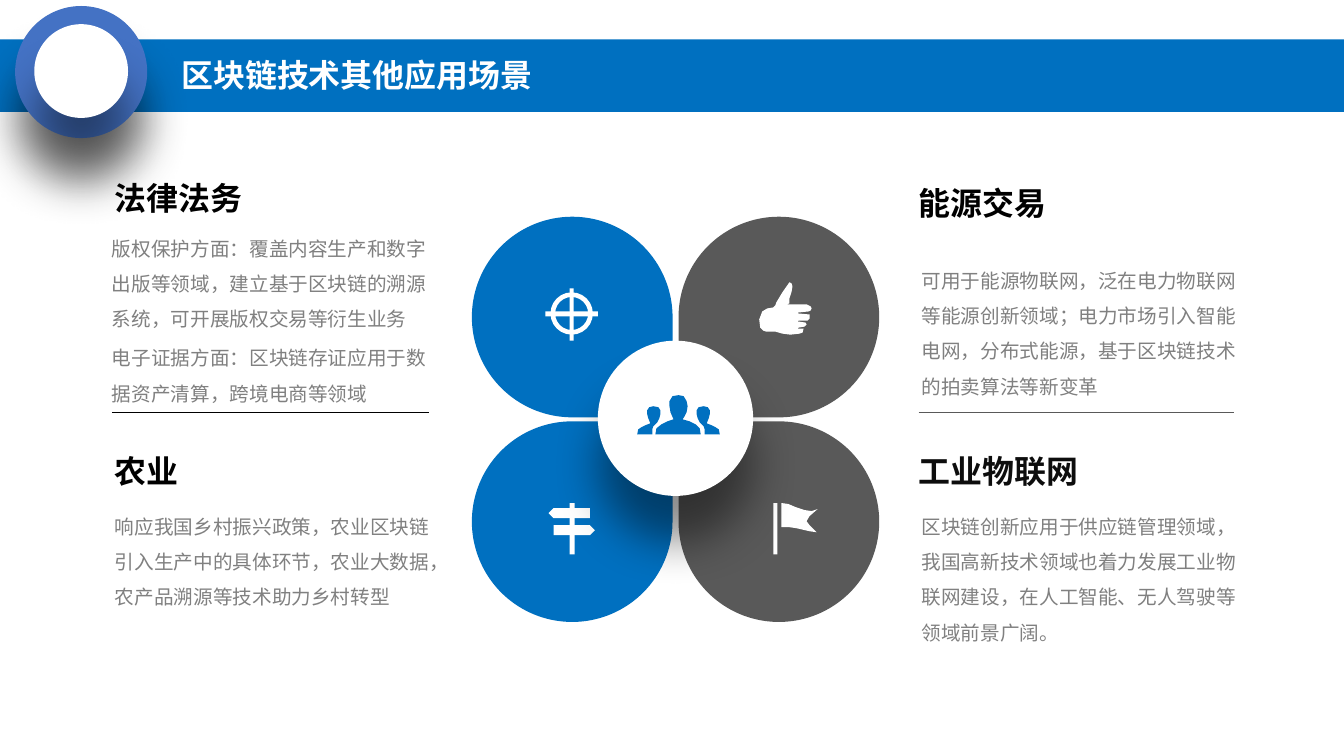
from typing import NamedTuple

from lxml.etree import SubElement
from pptx import Presentation
from pptx.dml.color import RGBColor
from pptx.enum.shapes import MSO_CONNECTOR, MSO_SHAPE as Preset
from pptx.enum.text import MSO_ANCHOR, MSO_AUTO_SIZE
from pptx.oxml.ns import qn
from pptx.shapes.autoshape import Shape
from pptx.util import Inches, Pt

COLORS = {
    "blue": "0070C0", "ring": "4472C4", "dark": "595959", "white": "FFFFFF",
    "black": "000000", "ink": "0D0D0D", "grey": "808080",
}
FONT = "Noto Sans CJK SC"
HEADING_SIZE, BODY_SIZE = 22.8, 14
Point = tuple[float, float]


class Figure(NamedTuple):
    """A filled preset shape; lengths in inches."""
    preset: Preset
    left: float
    top: float
    width: float
    height: float
    color: str
    rotation: int = 0
    shadow: bool = False


class Topic(NamedTuple):
    """One application field: a heading above its description."""
    heading: str
    heading_at: Point
    heading_color: str
    paragraphs: list[str]
    body_at: Point
    body_height: float


class Divider(NamedTuple):
    """A horizontal rule between two topics."""
    left: float
    right: float
    color: str
    weight: float


def rgb(name: str) -> RGBColor:
    """Look up a palette colour."""
    return RGBColor.from_string(COLORS[name])


def paint(shape: Shape, color: str) -> None:
    """Fill a shape without outline or inherited shadow."""
    shape.shadow.inherit = False
    shape.fill.solid()
    shape.fill.fore_color.rgb = rgb(color)
    shape.line.fill.background()


def cast_shadow(shape: Shape) -> None:
    """Give a shape a soft shadow straight below it."""
    effects = shape.element.spPr.find(qn("a:effectLst"))
    outer = SubElement(effects, qn("a:outerShdw"), blurRad=str(Pt(33)),
                       dist=str(Pt(33)), dir="5400000", algn="t", rotWithShape="0")
    tone = SubElement(outer, qn("a:srgbClr"), val=COLORS["black"])
    SubElement(tone, qn("a:alpha"), val="43000")


def draw_figure(figure: Figure) -> Shape:
    """Draw a preset shape."""
    shape = slide.shapes.add_shape(
        figure.preset, Inches(figure.left), Inches(figure.top),
        Inches(figure.width), Inches(figure.height))
    paint(shape, figure.color)
    shape.rotation = figure.rotation
    if figure.shadow:
        cast_shadow(shape)
    return shape


def draw_outline(points: list[Point], color: str) -> None:
    """Draw a closed outline through the points."""
    start, *rest = [(Inches(x), Inches(y)) for x, y in points]
    builder = slide.shapes.build_freeform(*start)
    builder.add_line_segments(rest, close=True)
    paint(builder.convert_to_shape(), color)


def write(paragraphs: list[str], at: Point, size: Point, points: float, color: str,
          bold: bool, spacing: float, before: float, inset: bool = False) -> None:
    """Write paragraphs in a wrapping text box."""
    frame = slide.shapes.add_textbox(*map(Inches, at + size)).text_frame
    frame.word_wrap = True
    if inset:
        frame.vertical_anchor = MSO_ANCHOR.MIDDLE
    else:
        frame.margin_left = frame.margin_right = 0
        frame.margin_top = frame.margin_bottom = 0
        frame.auto_size = MSO_AUTO_SIZE.SHAPE_TO_FIT_TEXT
    frame.text = "\n".join(paragraphs)
    for paragraph in frame.paragraphs:
        paragraph.line_spacing = spacing
        paragraph.space_before = Pt(before)
        font = paragraph.runs[0].font
        font.name, font.size, font.bold = FONT, Pt(points), bold
        font.color.rgb = rgb(color)
        SubElement(paragraph.runs[0].font._element, qn("a:ea"), typeface=FONT)


def draw_topic(topic: Topic) -> None:
    """Write a topic heading and its description."""
    write([topic.heading], topic.heading_at, (2.14, 0.38), HEADING_SIZE,
          topic.heading_color, True, 1.0, HEADING_SIZE * 0.2)
    write(topic.paragraphs, topic.body_at, (3.29, topic.body_height), BODY_SIZE,
          "grey", False, 1.5, BODY_SIZE * 0.2)


def draw_divider(divider: Divider) -> None:
    """Draw a rule between the upper and lower topics."""
    rule = slide.shapes.add_connector(
        MSO_CONNECTOR.STRAIGHT, Inches(divider.left), Inches(4.09),
        Inches(divider.right), Inches(4.09))
    rule.line.color.rgb = rgb(divider.color)
    rule.line.width = Pt(divider.weight)
    SubElement(rule.element.spPr, qn("a:effectLst"))


HEADER = [
    Figure(Preset.RECTANGLE, 0, 0.39, 13.33, 0.72, "blue"),
    Figure(Preset.OVAL, 0.15, 0.06, 1.31, 1.31, "ring", shadow=True),
    Figure(Preset.OVAL, 0.34, 0.24, 0.93, 0.93, "white", shadow=True),
]
PETALS = [
    Figure(Preset.TEAR, left, top, 1.99, 1.99, color, rotation)
    for left, color, turns in ((4.68, "blue", (90, 0)), (6.73, "dark", (180, 270)))
    for top, rotation in zip((2.15, 4.18), turns)
]
CROSSHAIR_BARS = [
    Figure(Preset.RECTANGLE, 5.41, 3.09, 0.52, 0.05, "white"),
    Figure(Preset.RECTANGLE, 5.65, 2.86, 0.04, 0.52, "white"),
]
POLES = [
    Figure(Preset.RECTANGLE, 5.65, 4.99, 0.05, 0.51, "white"),
    Figure(Preset.RECTANGLE, 7.67, 4.99, 0.04, 0.51, "white"),
]
UPPER_SIGN = [(5.44, 5.09), (5.49, 5.04), (5.85, 5.04), (5.85, 5.14), (5.49, 5.14)]
LOWER_SIGN = [(5.9, 5.26), (5.85, 5.21), (5.49, 5.21), (5.49, 5.31), (5.85, 5.31)]
FLAG = [
    (8, 5.17), (8.03, 5.12), (8.11, 5.05), (8.05, 5.07), (7.98, 5.06), (7.89, 5.03),
    (7.82, 5), (7.75, 4.99), (7.75, 5.23), (7.83, 5.23), (7.9, 5.24), (8.03, 5.27),
    (8.1, 5.28), (8.03, 5.21),
]
THUMB = [
    (7.92, 3.19), (7.91, 3.19), (7.92, 3.18), (8.01, 3.18), (8.03, 3.16), (8.03, 3.12),
    (7.92, 3.11), (7.91, 3.11), (7.92, 3.1), (8.02, 3.09), (8.04, 3.08), (8.05, 3.06),
    (8.04, 3.04), (8, 3.02), (7.89, 3.02), (7.8, 3.02), (7.83, 3.01), (7.83, 2.96),
    (7.85, 2.9), (7.86, 2.84), (7.85, 2.81), (7.83, 2.8), (7.76, 2.9), (7.7, 3),
    (7.69, 3.03), (7.67, 3.05), (7.61, 3.06), (7.56, 3.09), (7.53, 3.17), (7.54, 3.25),
    (7.57, 3.28), (7.6, 3.29), (7.69, 3.29), (7.76, 3.31), (7.84, 3.32), (7.93, 3.31),
    (7.96, 3.3), (7.97, 3.26), (7.91, 3.26), (7.92, 3.25), (7.98, 3.24), (8, 3.22),
    (7.99, 3.2),
]
LEADER = [
    (6.9, 4.21), (6.84, 4.18), (6.77, 4.16), (6.79, 4.13), (6.81, 4.09), (6.82, 4.03),
    (6.81, 3.98), (6.78, 3.93), (6.73, 3.92), (6.67, 3.93), (6.64, 3.98), (6.64, 4.03),
    (6.65, 4.09), (6.68, 4.16), (6.62, 4.18), (6.56, 4.21), (6.51, 4.25), (6.5, 4.31),
    (6.95, 4.31), (6.94, 4.25),
]
LEFT_MEMBER = [
    (6.47, 4.31), (6.47, 4.26), (6.48, 4.23), (6.52, 4.19), (6.54, 4.15), (6.55, 4.11),
    (6.55, 4.07), (6.53, 4.04), (6.48, 4.03), (6.44, 4.04), (6.42, 4.07), (6.42, 4.11),
    (6.43, 4.15), (6.45, 4.2), (6.4, 4.22), (6.36, 4.24), (6.33, 4.26), (6.32, 4.31),
]
RIGHT_MEMBER = [(2 * 6.73 - x, y) for x, y in LEFT_MEMBER]

TOPICS = [
    Topic("法律法务", (1.14, 1.77), "black",
          ["版权保护方面：覆盖内容生产和数字出版等领域，建立基于区块链的溯源系统，可开展版权交易等衍生业务",
           "电子证据方面：区块链存证应用于数据资产清算，跨境电商等领域"],
          (1.11, 2.23), 1.77),
    Topic("农业", (1.14, 4.48), "black",
          ["响应我国乡村振兴政策，农业区块链引入生产中的具体环节，农业大数据，农产品溯源等技术助力乡村转型"],
          (1.14, 4.99), 1.02),
    Topic("能源交易", (9.11, 1.82), "black",
          ["可用于能源物联网，泛在电力物联网等能源创新领域；电力市场引入智能电网，分布式能源，"
           "基于区块链技术的拍卖算法等新变革"],
          (9.14, 2.55), 1.37),
    Topic("工业物联网", (9.11, 4.48), "ink",
          ["区块链创新应用于供应链管理领域，我国高新技术领域也着力发展工业物联网建设，"
           "在人工智能、无人驾驶等领域前景广阔。"],
          (9.14, 4.99), 1.37),
]
DIVIDERS = [Divider(1.11, 4.25, "black", 1), Divider(9.11, 12.24, "dark", 0.5)]

deck = Presentation()
deck.slide_width, deck.slide_height = Inches(13.33), Inches(7.5)
slide = deck.slides.add_slide(deck.slide_layouts[6])

for part in HEADER + PETALS + CROSSHAIR_BARS + POLES:
    draw_figure(part)
crosshair_ring = draw_figure(Figure(Preset.DONUT, 5.46, 2.9, 0.42, 0.42, "white"))
crosshair_ring.adjustments[0] = 0.11
for icon in (UPPER_SIGN, LOWER_SIGN, FLAG, THUMB):
    draw_outline(icon, "white")
for topic in TOPICS:
    draw_topic(topic)
draw_figure(Figure(Preset.OVAL, 5.93, 3.38, 1.54, 1.54, "white", shadow=True))
for person in (LEFT_MEMBER, RIGHT_MEMBER, LEADER):
    draw_outline(person, "blue")
write(["区块链技术其他应用场景"], (1.7, 0.51), (4.23, 0.52), HEADING_SIZE, "white",
      True, 0.9, 10, inset=True)
for divider in DIVIDERS:
    draw_divider(divider)

deck.save("out.pptx")
